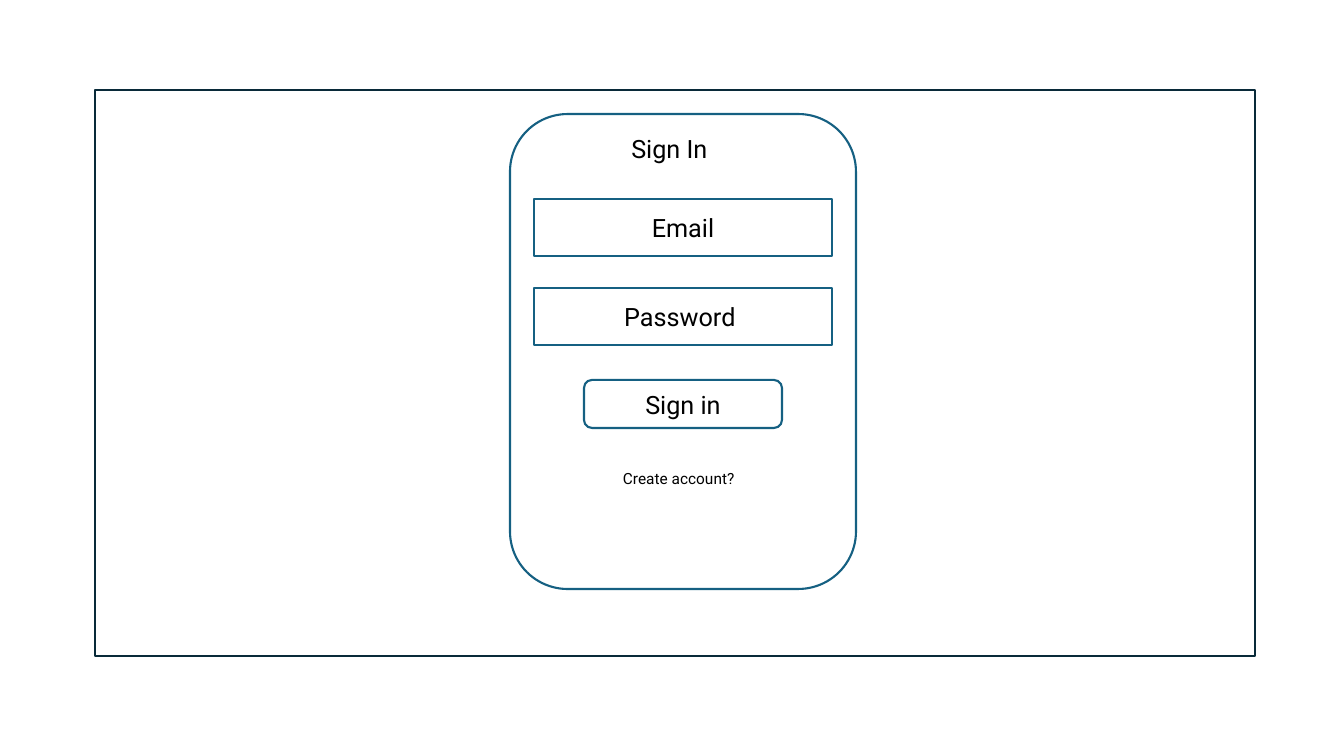
from pptx import Presentation
from pptx.dml.color import RGBColor
from pptx.enum.shapes import MSO_SHAPE as Preset
from pptx.enum.text import MSO_ANCHOR as Anchor, MSO_AUTO_SIZE as AutoSize, PP_ALIGN as Align
from pptx.util import Emu, Pt

EMU_PER_PX = 914400 / 100.8
FRAME_LINE = "092A39"
FORM_LINE = "156082"
WHITE = "FFFFFF"
BLACK = "000000"
FIELDS = ["Email", "Password "]
FIELD_TOP = 199
FIELD_STEP = 89


def px(length):
    return Emu(round(length * EMU_PER_PX))


def color(value):
    return RGBColor.from_string(value)


def apply_format(target, values):
    for name, value in values.items():
        setattr(target, name, value)


def place(shape, bounds):
    apply_format(shape, dict(zip(("left", "top", "width", "height"), map(px, bounds))))


def write(shape, text, size=18, align=Align.CENTER, **frame_format):
    frame = shape.text_frame
    apply_format(frame, {"word_wrap": True, **frame_format})
    para = frame.paragraphs[0]
    para.alignment = align
    span = para.add_run()
    span.text = text
    apply_format(span.font, {"name": "Roboto", "size": Pt(size), "bold": False})
    span.font.color.rgb = color(BLACK)


def add_outline(page, preset, bounds, line, fill=None):
    shape = page.shapes.add_shape(preset, *map(px, bounds))
    shape.shadow.inherit = False
    shape.line.color.rgb = color(line)
    shape.line.width = Pt(1.5)
    if fill:
        shape.fill.solid()
        shape.fill.fore_color.rgb = color(fill)
    else:
        shape.fill.background()
    return shape


def add_control(page, preset, bounds, text):
    control = add_outline(page, preset, bounds, FORM_LINE, WHITE)
    write(control, text, vertical_anchor=Anchor.MIDDLE)


def add_heading(page, bounds, text):
    title = page.shapes.title
    place(title, bounds)
    write(title, text, vertical_anchor=Anchor.TOP, auto_size=AutoSize.SHAPE_TO_FIT_TEXT)
    page.shapes.element.append(title.element)


def add_label(page, bounds, text, size):
    box = page.shapes.add_textbox(*map(px, bounds))
    write(box, text, size, Align.LEFT, auto_size=AutoSize.SHAPE_TO_FIT_TEXT)


def main():
    deck = Presentation()
    apply_format(deck, {"slide_width": px(1344), "slide_height": px(756)})
    page = deck.slides.add_slide(deck.slide_layouts[5])

    add_outline(page, Preset.RECTANGLE, (95, 90, 1160, 566), FRAME_LINE)
    add_outline(page, Preset.ROUNDED_RECTANGLE, (510, 114, 346, 475), FORM_LINE, WHITE)
    add_heading(page, (568, 128, 209, 41), "Sign In ")
    for row, field in enumerate(FIELDS):
        bounds = (534, FIELD_TOP + row * FIELD_STEP, 298, 57)
        add_control(page, Preset.RECTANGLE, bounds, field)
    add_control(page, Preset.ROUNDED_RECTANGLE, (584, 380, 198, 48), "Sign in")
    add_label(page, (613, 464, 139, 29), "Create account?", 11)

    deck.save("out.pptx")


if __name__ == "__main__":
    main()
